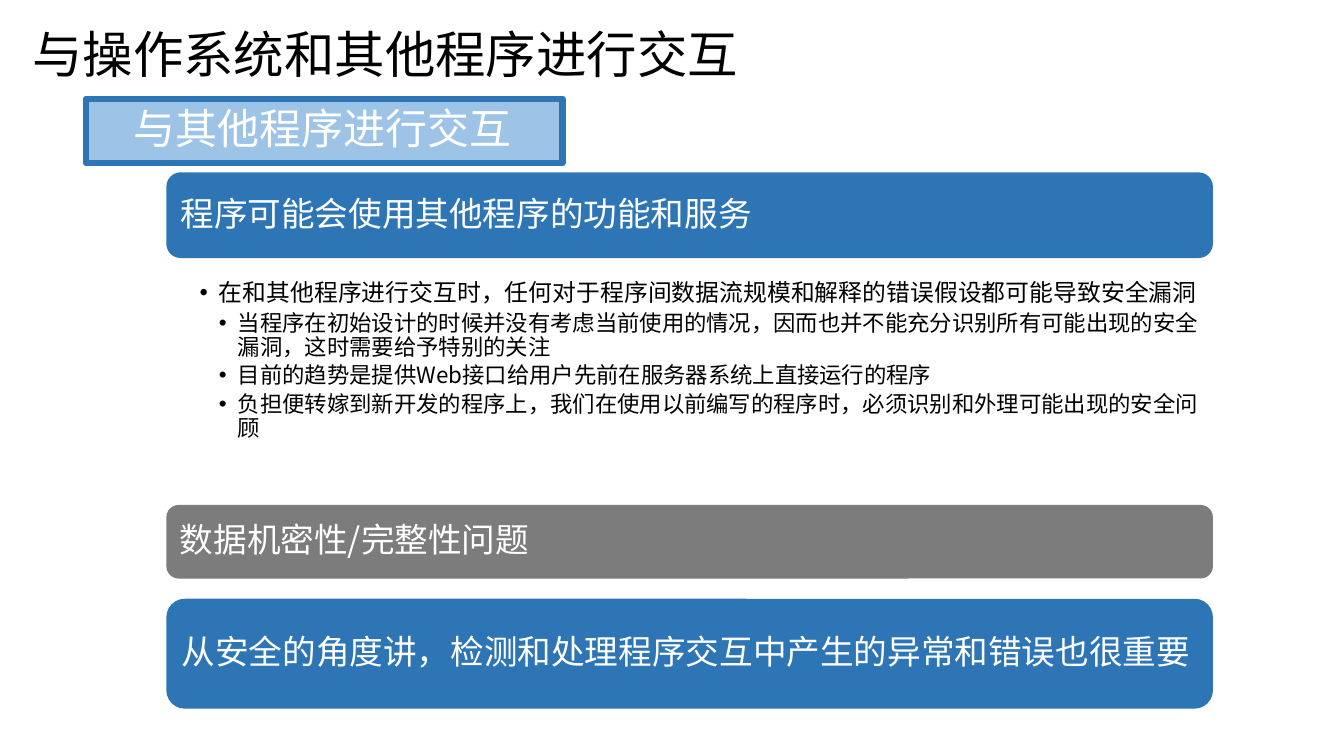
from lxml import etree
from pptx import Presentation
from pptx.dml.color import RGBColor
from pptx.enum import shapes, text
from pptx.oxml import ns
from pptx.util import Inches, Pt


def color(value):
    return RGBColor.from_string(value)


class SlideBuilder:
    FONT = "Noto Sans CJK SC"
    BLUE = "2E75B6"
    GRAY = "7C7C7C"
    PALE = "9DC3E6"
    WHITE = "FFFFFF"
    BLACK = "000000"

    def __init__(self, deck):
        self.slide = deck.slides.add_slide(deck.slide_layouts[6])

    def frame(self, shape, insets, anchor):
        frame = shape.text_frame
        frame.word_wrap = True
        frame.vertical_anchor = anchor
        side, edge = insets[:2]
        frame.margin_left = Inches(side)
        frame.margin_right = Inches(insets[2] if len(insets) > 2 else side)
        frame.margin_top = frame.margin_bottom = Inches(edge)
        return frame

    def paragraph(self, paragraph, words, size, tone, spacing=0.9):
        paragraph.text = words
        paragraph.alignment = text.PP_ALIGN.LEFT
        paragraph.line_spacing = spacing
        for run in paragraph.runs:
            run.font.size = Pt(size)
            run.font.color.rgb = color(tone)
            run.font.name = self.FONT
            east_asian = etree.SubElement(run.font._element, ns.qn("a:ea"))
            east_asian.set("typeface", self.FONT)

    def title(self, words, box):
        label = self.slide.shapes.add_textbox(*map(Inches, box))
        frame = self.frame(label, (0.11, 0.06), text.MSO_ANCHOR.MIDDLE)
        self.paragraph(frame.paragraphs[0], words, 36, self.BLACK, 1.0)

    def panel(self, kind, words, box, fill, size, insets):
        panel = self.slide.shapes.add_shape(kind, *map(Inches, box))
        panel.shadow.inherit = False
        panel.fill.solid()
        panel.fill.fore_color.rgb = color(fill)
        panel.line.fill.background()
        frame = self.frame(panel, insets, text.MSO_ANCHOR.MIDDLE)
        self.paragraph(frame.paragraphs[0], words, size, self.WHITE)
        return panel

    def subtitle(self, words, box):
        panel = self.panel(shapes.MSO_SHAPE.RECTANGLE, words, box, self.PALE, 30, (0.47, 0))
        panel.line.color.rgb = color(self.BLUE)
        panel.line.width = Pt(4.33)
        outline = panel._element.spPr.find(ns.qn("a:ln"))
        etree.SubElement(outline, ns.qn("a:round"))

    def bar(self, words, top, height, fill):
        self.panel(shapes.MSO_SHAPE.ROUNDED_RECTANGLE, words,
                   (1.65, top, 10.38, height), fill, 24, (0.1, 0.1))

    def bullets(self, points, box):
        listing = self.slide.shapes.add_textbox(*map(Inches, box))
        frame = self.frame(listing, (0.33, 0.02, 0.12), text.MSO_ANCHOR.TOP)
        for index, (level, size, words) in enumerate(points):
            point = frame.paragraphs[0] if index == 0 else frame.add_paragraph()
            self.paragraph(point, words, size, self.BLACK)
            point.level = level
            point.space_after = Pt(size * 0.2)
            properties = point._p.get_or_add_pPr()
            properties.set("marL", str(Inches(0.19 * level)))
            properties.set("indent", str(Inches(-0.19)))
            etree.SubElement(properties, ns.qn("a:buFont")).set("typeface", "Arial")
            etree.SubElement(properties, ns.qn("a:buChar")).set("char", "•")


def main():
    deck = Presentation()
    deck.slide_width = Inches(13.33)
    deck.slide_height = Inches(7.5)
    page = SlideBuilder(deck)

    page.title("与操作系统和其他程序进行交互", (0.21, 0, 8.82, 1.06))
    page.subtitle("与其他程序进行交互", (0.85, 0.98, 4.73, 0.64))
    page.bar("程序可能会使用其他程序的功能和服务", 1.71, 0.85, page.BLUE)
    page.bullets([
        (1, 17, "在和其他程序进行交互时，任何对于程序间数据流规模和解释的错误假设都可能导致安全漏洞"),
        (2, 16, "当程序在初始设计的时候并没有考虑当前使用的情况，因而也并不能充分识别所有可能出现的安全漏洞，这时需要给予特别的关注"),
        (2, 16, "目前的趋势是提供Web接口给用户先前在服务器系统上直接运行的程序"),
        (2, 16, "负担便转嫁到新开发的程序上，我们在使用以前编写的程序时，必须识别和外理可能出现的安全问顾"),
    ], (1.65, 2.77, 10.38, 2.24))
    page.bar("数据机密性/完整性问题", 5.01, 0.73, page.GRAY)
    page.bar("从安全的角度讲，检测和处理程序交互中产生的异常和错误也很重要", 5.94, 1.09, page.BLUE)

    deck.save("out.pptx")


if __name__ == "__main__":
    main()
